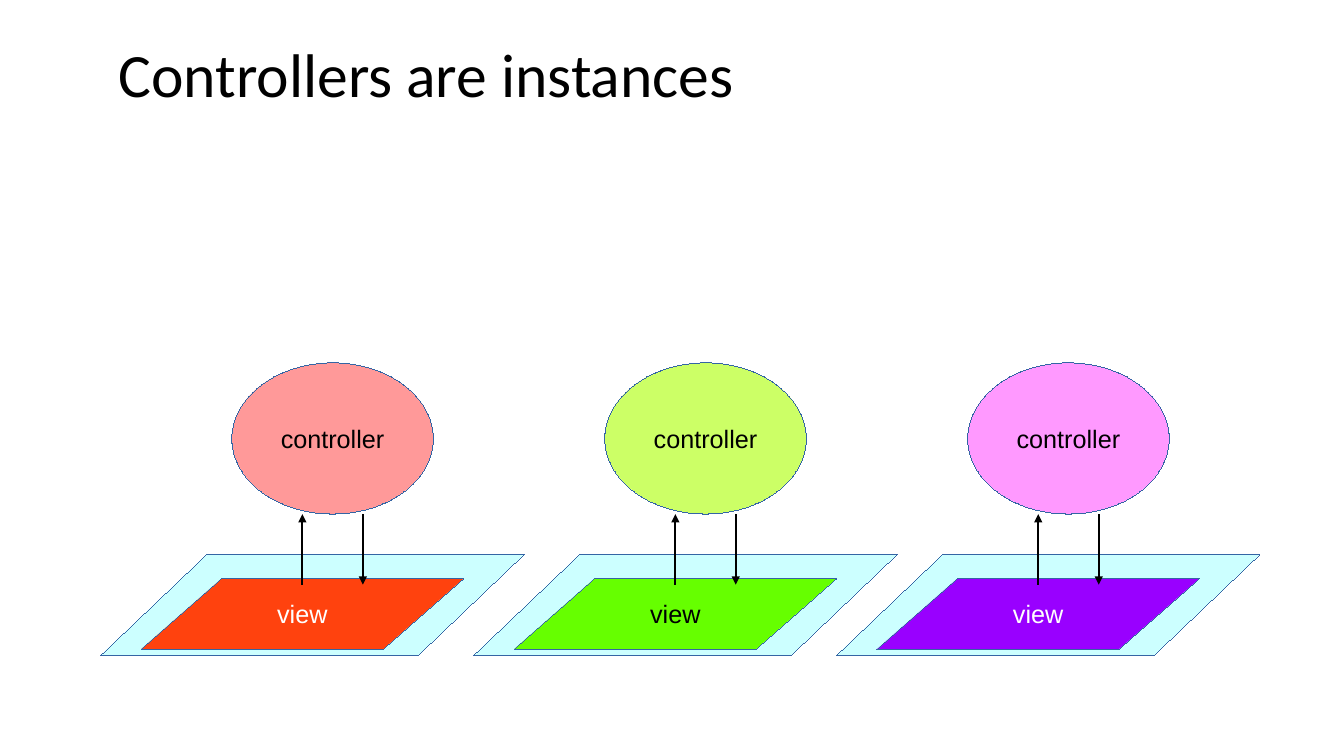
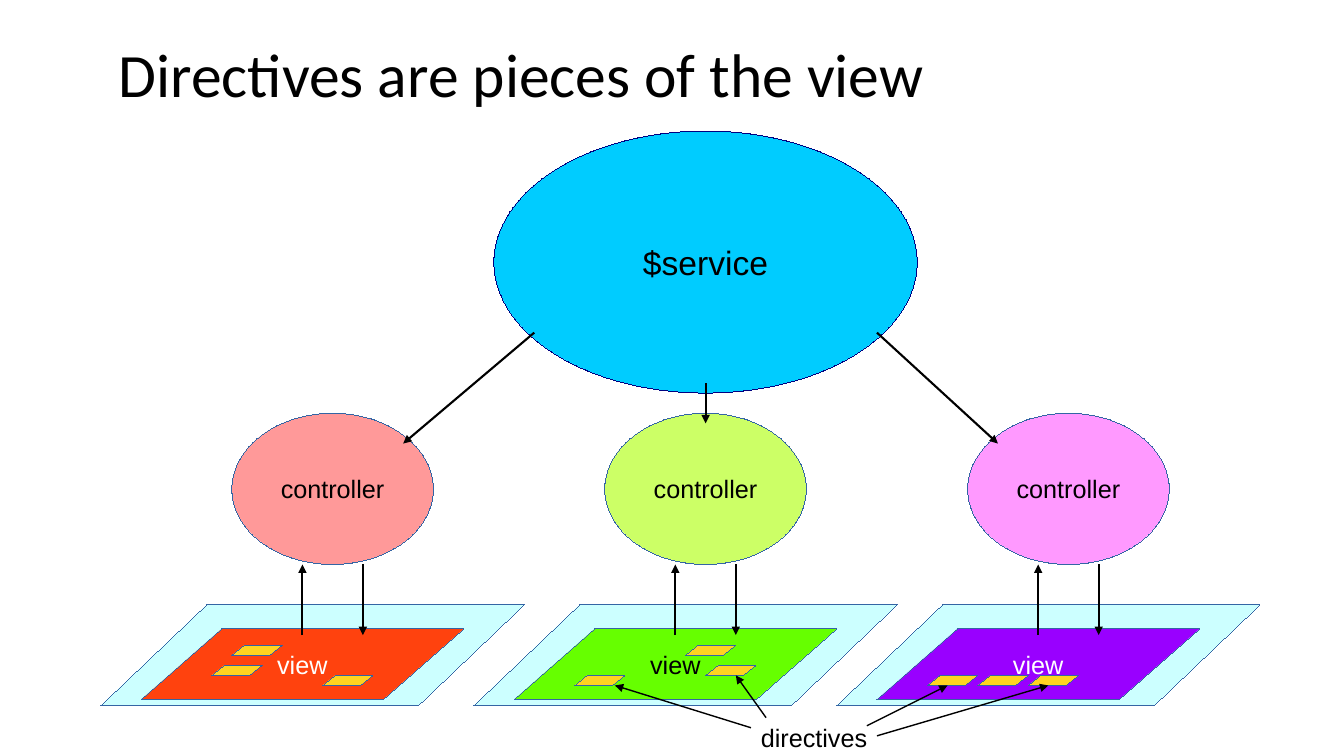
"""Build two slides that show controllers, views, a service and directives."""
from lxml.etree import SubElement
from pptx import Presentation
from pptx.dml.color import RGBColor
from pptx.enum.shapes import MSO_CONNECTOR as Connector, MSO_SHAPE as Preset
from pptx.enum.text import MSO_ANCHOR as Anchor, PP_ALIGN as Align
from pptx.oxml.ns import qn
from pptx.util import Pt

color = RGBColor.from_string
BLACK, WHITE = "000000", "FFFFFF"
OUTLINE, SERVICE_OUTLINE = "3465A4", "000080"
PANEL, SERVICE, DIRECTIVE = "CCFFFF", "00CCFF", "FFD320"


def add_item(slide, box, preset=None, fill=None, outline=OUTLINE, slant=None,
             text="", size=18, font="Arial", ink=BLACK, anchor=Anchor.MIDDLE):
    """Add a preset shape, or a text box when no preset is given."""
    box = [Pt(length) for length in box]
    if preset is None:
        shape = slide.shapes.add_textbox(*box)
    else:
        shape = slide.shapes.add_shape(preset, *box)
        shape.shadow.inherit = False
        shape.fill.solid()
        shape.fill.fore_color.rgb = color(fill)
        shape.line.color.rgb = color(outline)
        shape.line._get_or_add_ln().set("w", "0")
    if slant:
        shape.adjustments[0] = slant
    if text:
        frame = shape.text_frame
        frame.word_wrap = True
        frame.vertical_anchor = anchor
        paragraph = frame.paragraphs[0]
        paragraph.alignment = Align.CENTER if preset else Align.LEFT
        run = paragraph.add_run()
        run.text = text
        run.font.size = Pt(size)
        run.font.name = font
        run.font.color.rgb = color(ink)
    return shape


def add_arrow(slide, start, end, width=1.5):
    """Add a straight black arrow that points at its end."""
    points = [Pt(length) for length in (*start, *end)]
    arrow = slide.shapes.add_connector(Connector.STRAIGHT, *points)
    arrow.line.color.rgb = color(BLACK)
    arrow.line.width = Pt(width)
    SubElement(arrow.line._get_or_add_ln(), qn("a:tailEnd"), type="triangle")
    SubElement(arrow._element.spPr, qn("a:effectLst"))


presentation = Presentation()
presentation.slide_width = Pt(960)
presentation.slide_height = Pt(540)
blank = presentation.slide_layouts[6]

columns = [
    (72, "FF9999", "FF420E", WHITE),
    (338.4, "CCFF66", "66FF00", BLACK),
    (597.6, "FF99FF", "9900FF", WHITE),
]
pages = [
    ("Controllers are instances", 259.2),
    ("Directives are pieces of the view", 295.2),
]

for title, top in pages:
    slide = presentation.slides.add_slide(blank)
    heading = add_item(slide, (77.6, 2.88, 828, 104.4), text=title, size=44, font="Calibri")
    heading.text_frame.paragraphs[0].line_spacing = 0.9
    for left, controller_fill, view_fill, view_ink in columns:
        add_item(slide, (left, top + 136.8, 302.4, 72), Preset.PARALLELOGRAM, PANEL, slant=1.05)
        add_item(slide, (left + 28.8, top + 154.08, 230.4, 50.4), Preset.PARALLELOGRAM,
                 view_fill, slant=1.14, text="view", ink=view_ink)
        add_item(slide, (left + 93.6, top, 144, 108), Preset.OVAL,
                 controller_fill, text="controller")
        add_arrow(slide, (left + 144, top + 158.4), (left + 144, top + 108))
        add_arrow(slide, (left + 187.2, top + 108), (left + 187.2, top + 158.4))

add_item(slide, (352.8, 93.6, 302.4, 187.2), Preset.OVAL, SERVICE, SERVICE_OUTLINE,
         text="$service", size=24)
service_arrows = [
    ((381.6, 237.6), (288, 316.8)),
    ((504, 273.6), (504, 302.4)),
    ((626.4, 237.6), (712.8, 316.8)),
]
for start, end in service_arrows:
    add_arrow(slide, start, end)

directive_corners = [
    (165.6, 460.8), (151.2, 475.2), (230.4, 482.4),
    (410.4, 482.4), (504, 475.2), (489.6, 460.8),
    (662.4, 482.4), (698.4, 482.4), (734.4, 482.4),
]
for left, top in directive_corners:
    add_item(slide, (left, top, 36, 7.2), Preset.PARALLELOGRAM, DIRECTIVE, slant=1.25)

add_item(slide, (536.4, 512.64, 100, 27.36), text="directives", anchor=Anchor.TOP)
label_arrows = [
    ((547.2, 512.64), (525.6, 482.4)),
    ((536.4, 519.84), (439.2, 489.6)),
    ((619.2, 518.4), (676.8, 489.6)),
    ((626.4, 525.6), (748.8, 489.6)),
]
for start, end in label_arrows:
    add_arrow(slide, start, end, width=1)

presentation.save("out.pptx")
